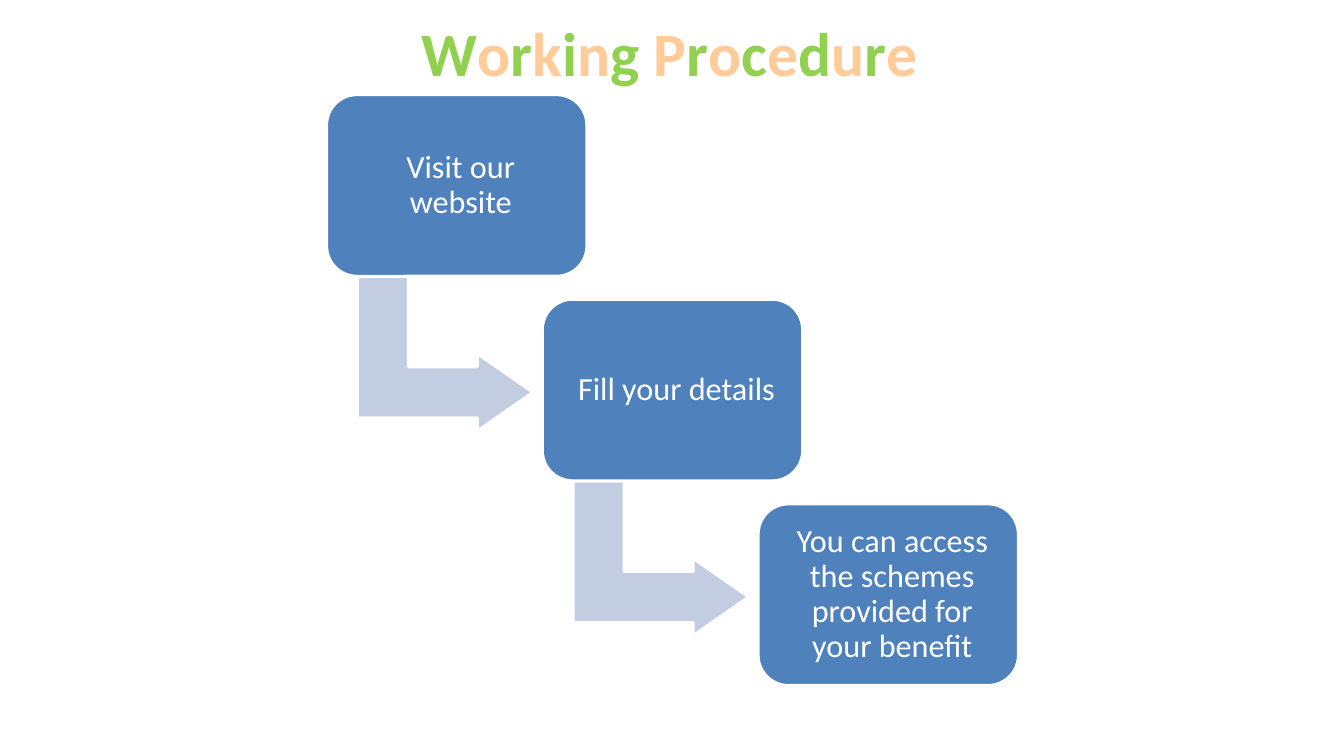
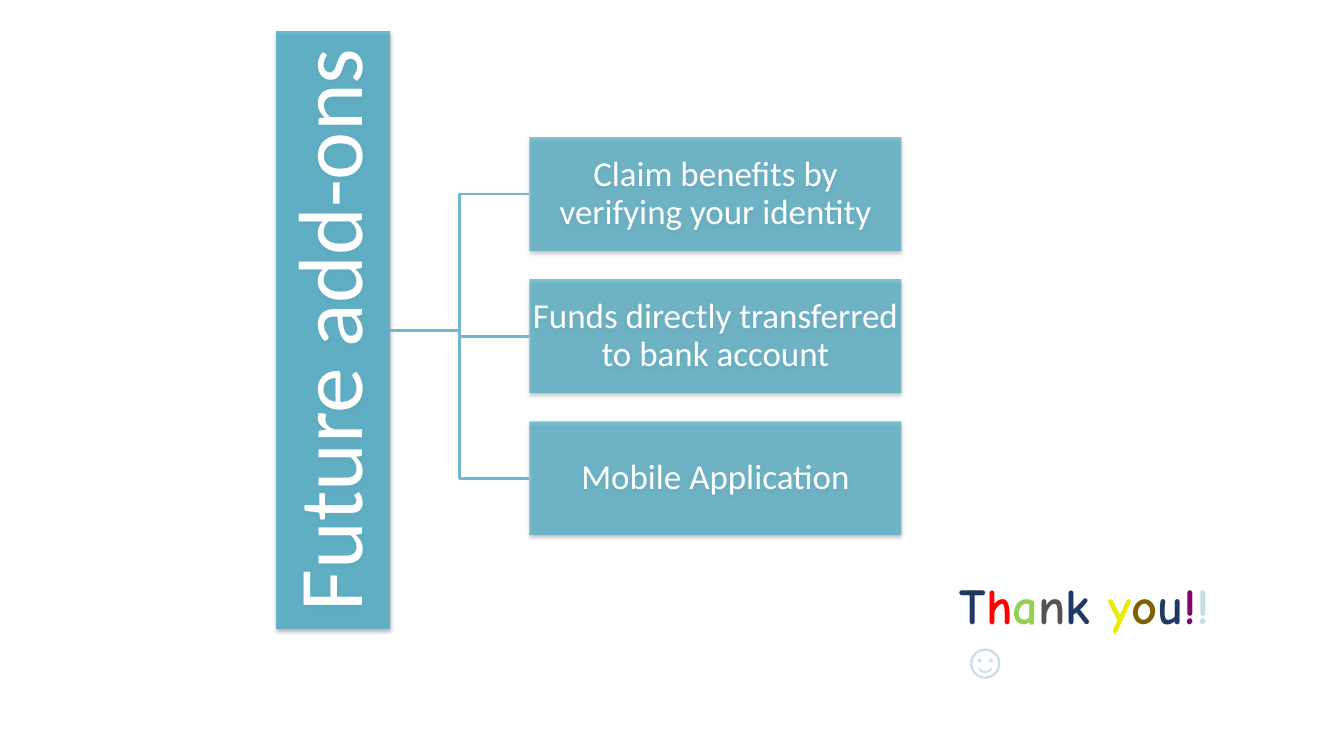
from itertools import cycle

from lxml.etree import SubElement
from pptx import Presentation
from pptx.dml.color import RGBColor
from pptx.enum.shapes import MSO_CONNECTOR, MSO_SHAPE
from pptx.enum.text import MSO_ANCHOR, PP_ALIGN
from pptx.oxml.ns import qn
from pptx.util import Inches, Pt

WHITE = "FFFFFF"
GREEN = "92D050"
PEACH = "FFCC99"
STEP_BLUE = "4F81BD"
ARROW_BLUE = "C2CDE1"
TEAL = "4BACC6"
LINE_TEAL = "71B7CD"
NAVY = "203864"
PALE_TEAL = "C4E0E6"
BODY_FONT = "Calibri"

STEPS = [
    "Visit our website",
    "Fill your details",
    "You can access the schemes provided for your benefit",
]
ADD_ONS = [
    "Claim benefits by verifying your identity",
    "Funds directly transferred to bank account",
    "Mobile Application",
]
TITLE_PIECES = list(zip([*"Workin", "g ", *"Procedure"], cycle([GREEN, PEACH])))
THANKS_PIECES = [
    ("T", NAVY), ("h", "FF0000"), ("a", GREEN), ("n", "535353"), ("k ", NAVY),
    ("y", "EBEB07"), ("o", "806000"), ("u", NAVY), ("!", "800471"), ("!", PALE_TEAL),
]


def rgb(color):
    return RGBColor.from_string(color)


def add_box(slide, kind, box, fill, line=None):
    shape = slide.shapes.add_shape(kind, *map(Inches, box))
    shape.shadow.inherit = False
    shape.fill.solid()
    shape.fill.fore_color.rgb = rgb(fill)
    if line:
        shape.line.color.rgb = rgb(line)
        shape.line.width = Pt(2)
    else:
        shape.line.fill.background()
    return shape


def write_centred(shape, text, size, margins):
    frame = shape.text_frame
    frame.word_wrap = True
    frame.vertical_anchor = MSO_ANCHOR.MIDDLE
    frame.margin_left, frame.margin_top, frame.margin_right, frame.margin_bottom = map(Inches, margins)
    paragraph = frame.paragraphs[0]
    paragraph.text = text
    paragraph.alignment = PP_ALIGN.CENTER
    paragraph.line_spacing = 0.9
    paragraph.font.size = Pt(size)
    paragraph.font.name = BODY_FONT
    paragraph.font.color.rgb = rgb(WHITE)


def add_colored_text(slide, box, pieces, font, size, alignment):
    frame = slide.shapes.add_textbox(*map(Inches, box)).text_frame
    frame.word_wrap = True
    frame.vertical_anchor = MSO_ANCHOR.MIDDLE
    paragraph = frame.paragraphs[0]
    paragraph.alignment = alignment
    paragraph.font.name = font
    paragraph.font.size = Pt(size)
    paragraph.font.bold = True
    for text, color in pieces:
        run = paragraph.add_run()
        run.text = text
        run.font.color.rgb = rgb(color)
    return paragraph


def add_glass_box(slide, box, opacity, text, size, margin):
    shape = add_box(slide, MSO_SHAPE.RECTANGLE, box, TEAL)
    properties = shape._element.spPr
    fill_color = properties.find(qn("a:solidFill")).find(qn("a:srgbClr"))
    SubElement(fill_color, qn("a:alpha"), val=str(opacity * 1000))
    shadow = SubElement(
        properties.find(qn("a:effectLst")), qn("a:outerShdw"),
        blurRad=str(Pt(3.1)), dist=str(Pt(1.8)), dir="5400000", rotWithShape="0",
    )
    shadow_color = SubElement(shadow, qn("a:srgbClr"), val="000000")
    SubElement(shadow_color, qn("a:alpha"), val="35000")
    write_centred(shape, text, size, [margin] * 4)
    return shape


def join_boxes(slide, start, end):
    connector = slide.shapes.add_connector(MSO_CONNECTOR.ELBOW, 0, 0, 0, 0)
    connector.begin_connect(start, 3)
    connector.end_connect(end, 1)
    connector.line.color.rgb = rgb(LINE_TEAL)
    connector.line.width = Pt(2)
    SubElement(connector._element.spPr, qn("a:effectLst"))


def add_staircase(slide, left, top):
    for index, text in enumerate(STEPS):
        x, y = left + 2.14 * index, top + 2.03 * index
        if index < len(STEPS) - 1:
            arrow = add_box(slide, MSO_SHAPE.BENT_UP_ARROW, (x + 0.41, y + 1.7, 1.53, 1.74), ARROW_BLUE, WHITE)
            arrow.rotation = 90
            for position, value in enumerate((0.33, 0.25, 0.36)):
                arrow.adjustments[position] = value
        step = add_box(slide, MSO_SHAPE.ROUNDED_RECTANGLE, (x, y, 2.58, 1.8), STEP_BLUE, WHITE)
        write_centred(step, text, 23, (0.18, 0.18, 0.1, 0.18))


def add_tree(slide, left, top):
    root = add_glass_box(slide, (left, top, 1.13, 5.93), 80, "Future add-ons", 65, 0.05)
    root.text_frame._txBody.bodyPr.set("vert", "vert270")
    for index, text in enumerate(ADD_ONS):
        box = (left + 2.51, top + 1.05 + 1.41 * index, 3.69, 1.13)
        join_boxes(slide, root, add_glass_box(slide, box, 70, text, 25, 0.02))


def add_thanks(slide, box):
    paragraph = add_colored_text(slide, box, THANKS_PIECES, "Comic Neue", 36, PP_ALIGN.LEFT)
    paragraph.line_spacing = 0.9
    paragraph.add_line_break()
    smile = paragraph.add_run()
    smile.text = "☺"
    smile.font.name = "Arial"
    smile.font.color.rgb = rgb(PALE_TEAL)


def build_procedure_slide(slide):
    add_colored_text(slide, (0.89, 0, 11.5, 1.02), TITLE_PIECES, BODY_FONT, 44, PP_ALIGN.CENTER)
    add_staircase(slide, 3.24, 0.94)


def build_future_slide(slide):
    add_tree(slide, 2.74, 0.31)
    add_thanks(slide, (9.42, 5.7, 3.34, 1.2))


def main():
    presentation = Presentation()
    presentation.slide_width = Inches(13.33)
    presentation.slide_height = Inches(7.5)
    for build in (build_procedure_slide, build_future_slide):
        build(presentation.slides.add_slide(presentation.slide_layouts[6]))
    presentation.save("out.pptx")


if __name__ == "__main__":
    main()
